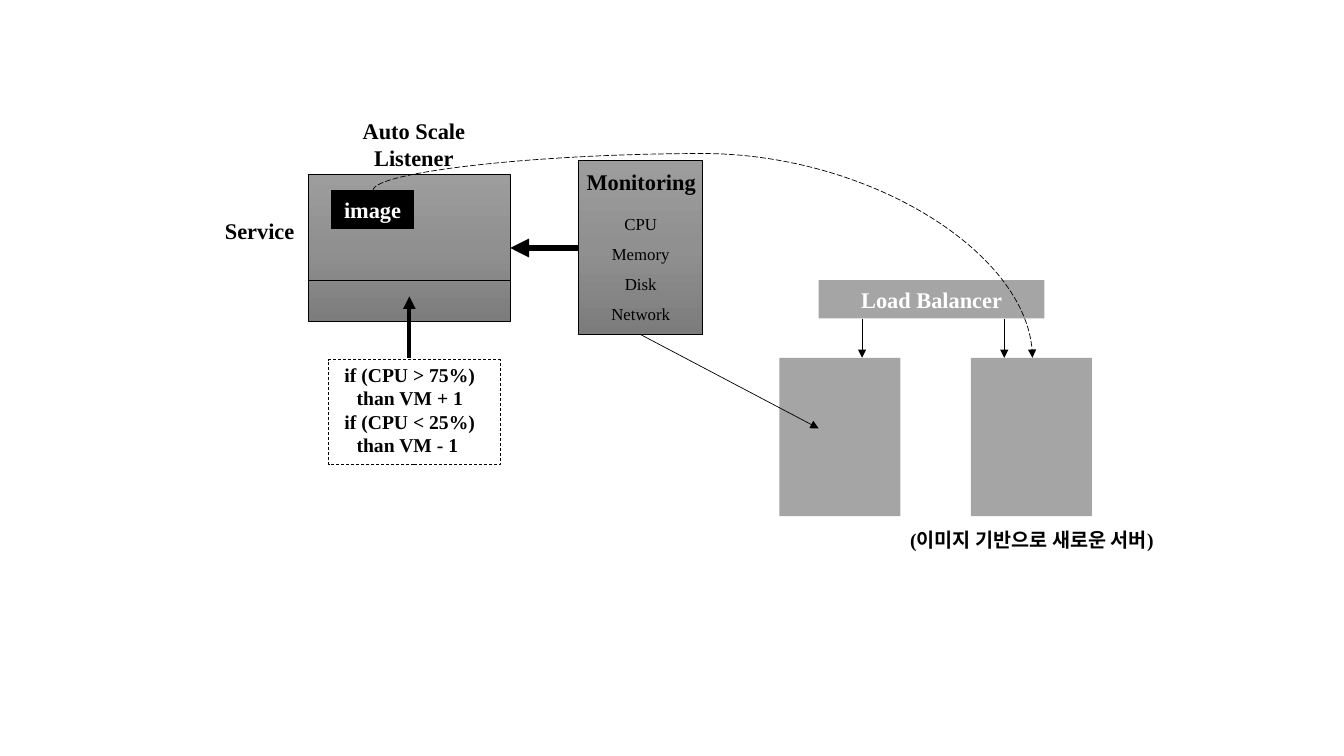
from copy import deepcopy
from dataclasses import dataclass

from lxml.etree import SubElement
from pptx import Presentation
from pptx.dml.color import RGBColor
from pptx.enum.dml import MSO_LINE
from pptx.enum.shapes import MSO_CONNECTOR, MSO_SHAPE
from pptx.enum.text import MSO_ANCHOR, PP_ALIGN
from pptx.oxml.ns import qn
from pptx.util import Inches, Pt

CELL = Inches(0.1)
FONT = "Times New Roman"
BLACK, WHITE, GRAY = "000000", "FFFFFF", "A5A5A5"
GRADIENT = ((0, "9D9D9D"), (0.5, "909090"), (1, "7C7C7C"))


@dataclass
class Box:
    column: float
    row: float
    columns: float
    rows: float

    def inner(self, column, row, columns, rows):
        return Box(self.column + column, self.row + row, columns, rows)

    def point(self, column, row):
        return self.column + column, self.row + row

    def lengths(self):
        return [cells(n) for n in (self.column, self.row, self.columns, self.rows)]


def cells(count):
    return round(count * CELL)


def color(value):
    return RGBColor.from_string(value)


def write(shape, lines, size, ink=BLACK, bold=True, gap=0):
    frame = shape.text_frame
    frame.word_wrap = True
    for index, line in enumerate(lines):
        paragraph = frame.add_paragraph() if index else frame.paragraphs[0]
        paragraph.text = line
        paragraph.alignment = PP_ALIGN.CENTER
        if index and gap:
            paragraph.space_before = Pt(gap)
        paragraph.font.name = FONT
        paragraph.font.size = Pt(size)
        paragraph.font.bold = bold
        paragraph.font.color.rgb = color(ink)


def add_label(slide, box, lines, size=16, bold=True, gap=0):
    write(slide.shapes.add_textbox(*box.lengths()), lines, size, bold=bold, gap=gap)


def add_block(slide, box, fill=None, line=None, width=0.5, text=None):
    shape = slide.shapes.add_shape(MSO_SHAPE.RECTANGLE, *box.lengths())
    shape.shadow.inherit = False
    if fill:
        shape.fill.solid()
        shape.fill.fore_color.rgb = color(fill)
    else:
        shape.fill.background()
    if line:
        shape.line.color.rgb = color(line)
        shape.line.width = Pt(width)
    else:
        shape.line.fill.background()
    if text:
        shape.text_frame.vertical_anchor = MSO_ANCHOR.MIDDLE
        write(shape, [text], 16, WHITE)
    return shape


def add_gradient_block(slide, box):
    shape = add_block(slide, box, line=BLACK)
    shape.fill.gradient()
    shape.fill.gradient_angle = 270
    stop_list = shape.element.spPr.find(qn("a:gradFill")).find(qn("a:gsLst"))
    stop_list.insert(1, deepcopy(stop_list[0]))
    for stop, (position, value) in zip(shape.fill.gradient_stops, GRADIENT):
        stop.position = position
        stop.color.rgb = color(value)


def add_line(slide, start, end, width=0.5, arrow=True, kind=MSO_CONNECTOR.STRAIGHT, dash=None):
    connector = slide.shapes.add_connector(kind, *[cells(n) for n in (*start, *end)])
    connector.line.color.rgb = color(BLACK)
    connector.line.width = Pt(width)
    if dash:
        connector.line.dash_style = dash
    properties = connector.element.spPr
    if arrow:
        SubElement(properties.find(qn("a:ln")), qn("a:tailEnd"), type="triangle")
    SubElement(properties, qn("a:effectLst"))
    return connector


def add_servers(slide, box):
    for column in (8.2, 22.3):
        add_line(slide, box.point(column, 3.8), box.point(column, 7.7))
    add_block(slide, box.inner(3.9, 0, 22.4, 3.8), GRAY, text="Load Balancer")
    for column in (0, 19):
        add_block(slide, box.inner(column, 7.7, 12, 15.7), GRAY)
    add_label(slide, box.inner(9.5, 24.1, 31.1, 3.4), ["(이미지 기반으로 새로운 서버)"], 14)


def add_monitoring(slide, box):
    add_gradient_block(slide, box)
    add_label(slide, box.inner(-1.6, 0.3, 15.6, 3.7), ["Monitoring"])
    add_label(slide, box.inner(0, 4.8, box.columns, 11.8),
              ["CPU", "Memory", "Disk", "Network"], 12, bold=False, gap=7)
    add_line(slide, box.point(box.columns / 2, box.rows), box.point(23.8, 26.6))
    add_line(slide, box.point(0, 8.7), box.point(-6.8, 8.7), 4.5)


def add_service(slide, box):
    add_gradient_block(slide, box)
    add_line(slide, box.point(0, 10.5), box.point(box.columns, 10.5), arrow=False)
    add_label(slide, box.inner(-14.4, 3.8, 19.1, 3.7), ["Service"])
    add_label(slide, box.inner(0.9, -6.2, 19.1, 6.4), ["Auto Scale Listener"])
    add_block(slide, box.inner(2.3, 1.6, 8.1, 3.8), BLACK, BLACK, 1, "image")


def add_scaling_rule(slide, box):
    middle = box.columns / 2 - 0.5
    add_block(slide, box, line=BLACK).line.dash_style = MSO_LINE.DASH
    add_label(slide, box.inner(-1.5, -0.2, 19.1, 10.4),
              ["if (CPU > 75%)", "than VM + 1", "if (CPU < 25%)", "than VM - 1 "], 14)
    add_line(slide, box.point(middle, -0.2), box.point(middle, -6.3), 3)


def add_image_path(slide, box):
    center_column, center_row = box.point(box.columns / 2, box.rows / 2)
    across, down = box.rows / 2, box.columns / 2
    curve = add_line(slide, (center_column + across, center_row - down),
                     (center_column - across, center_row + down),
                     kind=MSO_CONNECTOR.CURVE, dash=MSO_LINE.LONG_DASH)
    properties = curve.element.spPr
    properties.find(qn("a:xfrm")).set("rot", str(270 * 60000))
    adjustments = properties.find(qn("a:prstGeom")).find(qn("a:avLst"))
    SubElement(adjustments, qn("a:gd"), name="adj1", fmla="val -22100")


def main():
    presentation = Presentation()
    presentation.slide_width = Inches(13.33)
    presentation.slide_height = Inches(7.5)
    slide = presentation.slides.add_slide(presentation.slide_layouts[6])
    add_servers(slide, Box(77.3, 27.8, 31, 23.4))
    add_monitoring(slide, Box(57.4, 15.9, 12.3, 17.3))
    add_service(slide, Box(30.6, 17.3, 20, 14.6))
    add_scaling_rule(slide, Box(32.6, 35.7, 17, 10.4))
    add_image_path(slide, Box(37, 18.9, 65.4, 16.6))
    presentation.save("out.pptx")


if __name__ == "__main__":
    main()
